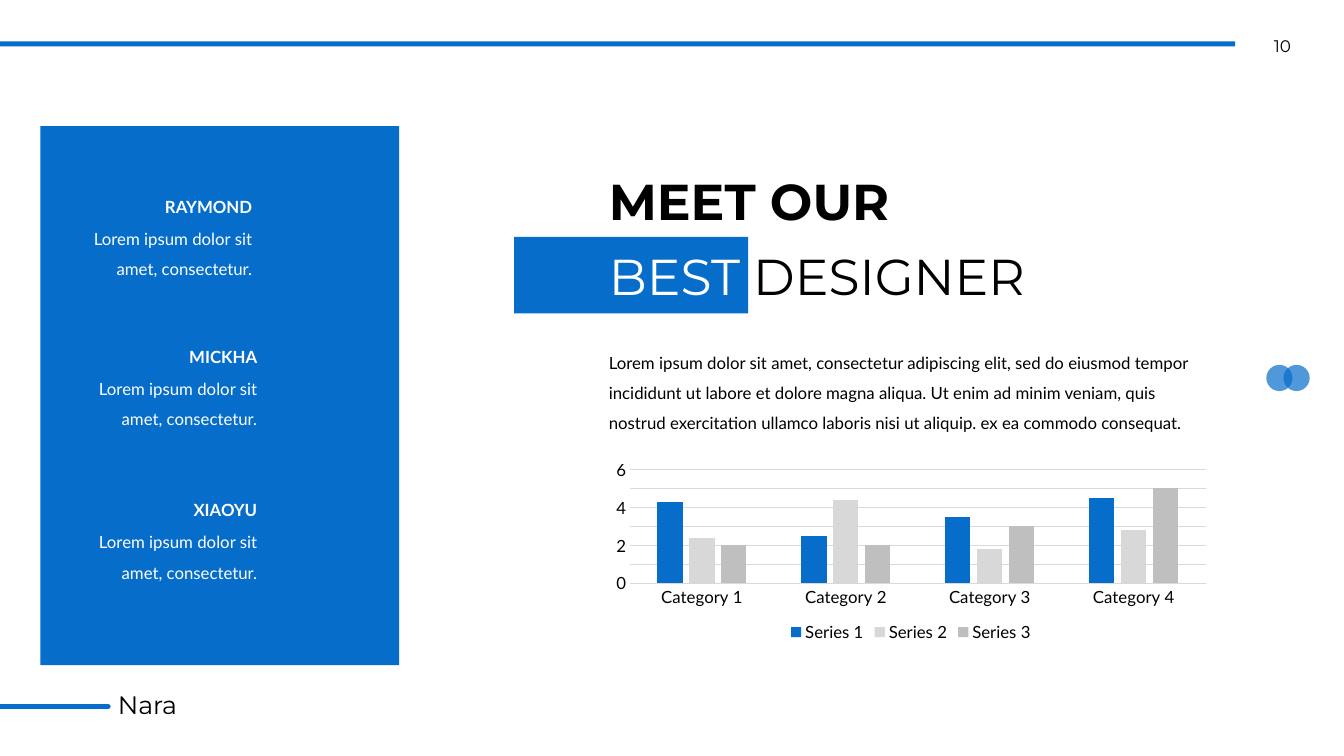
"""Build a team slide with a names panel, a two-line heading and a column chart."""
from lxml import etree
from pptx import Presentation
from pptx.chart.data import CategoryChartData
from pptx.dml.color import RGBColor
from pptx.enum.chart import XL_CHART_TYPE, XL_LEGEND_POSITION, XL_TICK_MARK
from pptx.enum.shapes import MSO_CONNECTOR, MSO_SHAPE
from pptx.enum.text import MSO_AUTO_SIZE, PP_ALIGN
from pptx.oxml.ns import qn
from pptx.util import Inches, Pt

RECT, OVAL = MSO_SHAPE.RECTANGLE, MSO_SHAPE.OVAL
LEFT, CENTER, RIGHT = PP_ALIGN.LEFT, PP_ALIGN.CENTER, PP_ALIGN.RIGHT
FIT = MSO_AUTO_SIZE.SHAPE_TO_FIT_TEXT
STRAIGHT = MSO_CONNECTOR.STRAIGHT
COLUMNS, BOTTOM, NO_TICK = XL_CHART_TYPE.COLUMN_CLUSTERED, XL_LEGEND_POSITION.BOTTOM, XL_TICK_MARK.NONE
COLORS = {name: RGBColor.from_string(value) for name, value in {
    "blue": "066DCA", "black": "000000", "white": "FFFFFF",
    "grid": "D9D9D9", "light": "D8D8D8", "mid": "BFBFBF"}.items()}
BODY, DISPLAY = "Lato", "Montserrat"
CELL = Inches(0.1)

deck = Presentation()
deck.slide_width, deck.slide_height = Inches(13.33), Inches(7.5)
slide = deck.slides.add_slide(deck.slide_layouts[6])


def add_block(kind, *cells):
    block = slide.shapes.add_shape(kind, *(round(c * CELL) for c in cells))
    block.shadow.inherit = False
    block.fill.solid()
    block.fill.fore_color.rgb = COLORS["blue"]
    block.line.fill.background()
    return block


def add_copy(cells, runs, size, face, align=LEFT, spacing=None, bold=False):
    box = slide.shapes.add_textbox(*(round(c * CELL) for c in cells))
    frame = box.text_frame
    frame.word_wrap = True
    frame.auto_size = FIT
    paragraph = frame.paragraphs[0]
    paragraph.alignment = align
    paragraph.line_spacing = spacing
    font = paragraph.font
    font.size, font.name, font.bold = Pt(size), face, bold
    for wording, color in runs:
        run = paragraph.add_run()
        run.text = wording
        run.font.color.rgb = COLORS[color]
    return frame


for column in (125.6, 127.3):
    dot = add_block(OVAL, column, 36.2, 2.6, 2.6)
    tint = dot.fill._xPr.find(qn("a:solidFill"))[0]
    etree.SubElement(tint, qn("a:alpha")).set("val", "70000")

page_number = add_copy((123.8, 3.5, 6.8, 2), [("10", "black")], 12, DISPLAY, CENTER)
page_number.margin_top = page_number.margin_bottom = 0

footer_rule = slide.shapes.add_connector(STRAIGHT, 0, round(70.1 * CELL), round(10.7 * CELL), round(70.1 * CELL))
footer_rule.line.color.rgb = COLORS["blue"]
footer_rule.line.width = Pt(4)
rule_properties = footer_rule._element.spPr
rule_properties.find(qn("a:ln")).set("cap", "rnd")
etree.SubElement(rule_properties, qn("a:effectLst"))
add_copy((10.7, 67.9, 16.7, 4), [("Nara", "black")], 18, DISPLAY)

add_block(RECT, 0, 4.1, 122.5, 0.5)
add_block(RECT, 4, 12.5, 35.6, 53.5)

for member, column, row in (("RAYMOND", 8.1, 18), ("MICKHA", 8.6, 32.9), ("XIAOYU", 8.6, 48.1)):
    add_copy((column, row + 3.2, 17.9, 6.7), [("Lorem ipsum dolor sit amet, consectetur.", "white")],
             12, BODY, RIGHT, 1.5)
    add_copy((column, row, 17.9, 3.6), [(member, "white")], 12, BODY, RIGHT, 1.5, True)

add_block(RECT, 51, 23.5, 23.2, 7.6)
add_copy((59.4, 16.4, 31.6, 7.1), [("MEET OUR", "black")], 36, DISPLAY, bold=True)
add_copy((59.4, 23.8, 45.7, 7.1), [("BEST ", "white"), ("DESIGNER", "black")], 36, DISPLAY)
add_copy((59.4, 33.5, 60.9, 9.7), [(
    "Lorem ipsum dolor sit amet, consectetur adipiscing elit, sed do eiusmod tempor "
    "incididunt ut labore et dolore magna aliqua. Ut enim ad minim veniam, quis nostrud "
    "exercitation ullamco laboris nisi ut aliquip. ex ea commodo consequat.", "black")],
    12, BODY, spacing=1.5)

ratings = CategoryChartData()
ratings.categories = [f"Category {n}" for n in range(1, 5)]
ratings.add_series("Series 1", (4.3, 2.5, 3.5, 4.5))
ratings.add_series("Series 2", (2.4, 4.4, 1.8, 2.8))
ratings.add_series("Series 3", (2, 2, 3, 5))
chart = slide.shapes.add_chart(COLUMNS, *(round(c * CELL) for c in (59.9, 45.2, 60.9, 18.9)), ratings).chart
chart.has_title = False
chart.has_legend = True
chart.legend.position = BOTTOM
chart.legend.include_in_layout = False
chart.font.size, chart.font.name = Pt(12), BODY
chart.font.color.rgb = COLORS["black"]

bars = chart.plots[0]
bars.vary_by_categories = False
bars.gap_width, bars.overlap = 219, -27
for series, color in zip(bars.series, ("blue", "light", "mid")):
    series.format.fill.solid()
    series.format.fill.fore_color.rgb = COLORS[color]

categories, values = chart.category_axis, chart.value_axis
values.minimum_scale, values.maximum_scale, values.major_unit = 0, 6, 1
values.has_major_gridlines = True
values.format.line.fill.background()
for axis in (categories, values):
    axis.major_tick_mark = axis.minor_tick_mark = NO_TICK
for line in (categories.format.line, values.major_gridlines.format.line):
    line.color.rgb = COLORS["grid"]
    line.width = Pt(0.75)

deck.save("out.pptx")
